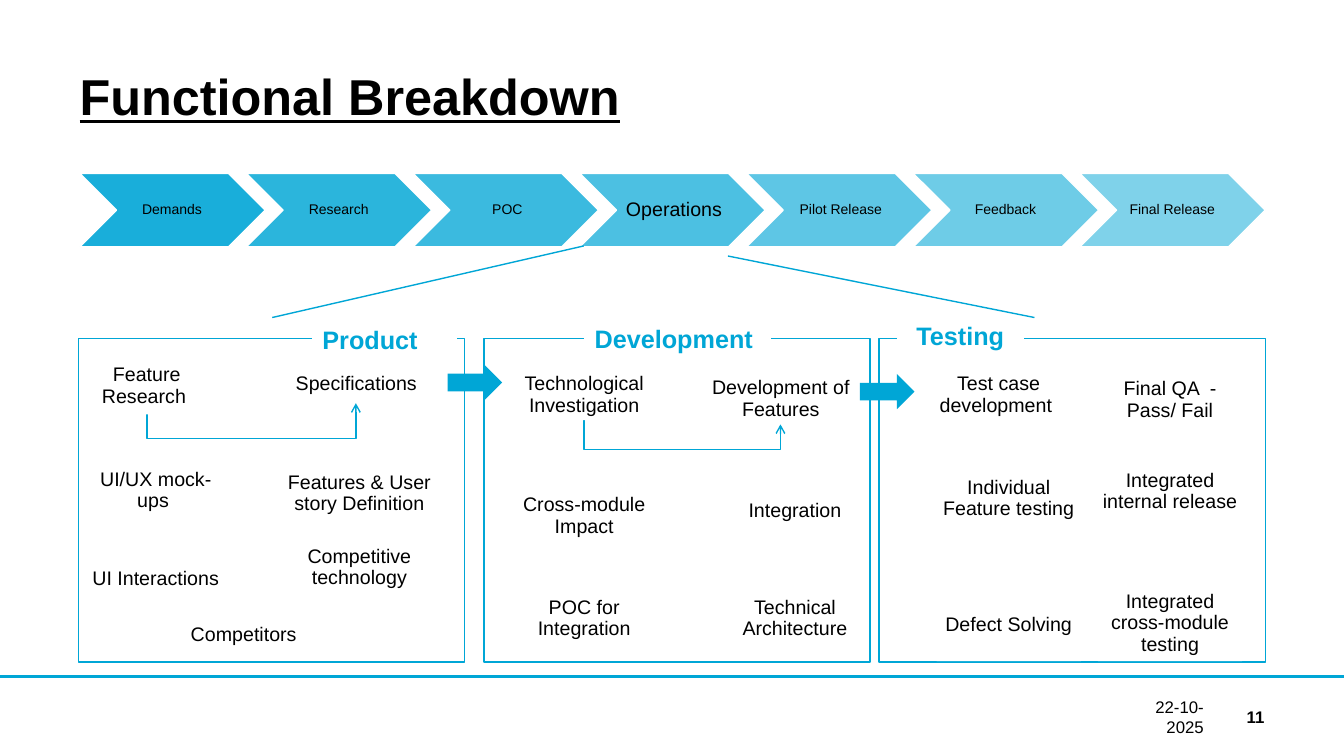
"""Build the Functional Breakdown slide: a process chain above three work panels."""
from dataclasses import dataclass

from lxml import etree
from pptx import Presentation
from pptx.dml.color import RGBColor
from pptx.enum.shapes import MSO_CONNECTOR as Conn, MSO_SHAPE as Shape
from pptx.enum.text import MSO_ANCHOR as Anchor, PP_ALIGN as Align
from pptx.oxml.ns import qn
from pptx.util import Inches, Pt


@dataclass(frozen=True)
class Theme:
    font: str = "Arial"
    cyan: RGBColor = RGBColor(0x00, 0xA6, 0xD6)
    black: RGBColor = RGBColor(0x00, 0x00, 0x00)
    white: RGBColor = RGBColor(0xFF, 0xFF, 0xFF)
    title: int = 36
    label: int = 18
    body: int = 14
    footer: int = 12
    step: int = 10


theme = Theme()
prs = Presentation()
prs.slide_width, prs.slide_height = Inches(13.33), Inches(7.5)
s = prs.slides.add_slide(prs.slide_layouts[6])


def write(sp, text, size, color=theme.black, bold=False, align=Align.CENTER,
          anchor=Anchor.TOP, insets=(0, 0, 0, 0), spacing=0.9, before=0, after=0):
    """Put one formatted paragraph into a shape and return its run."""
    tf = sp.text_frame
    tf.word_wrap = True
    tf.vertical_anchor = anchor
    tf.margin_left, tf.margin_top, tf.margin_right, tf.margin_bottom = map(Inches, insets)
    p = tf.paragraphs[0]
    p.text = text
    p.alignment, p.line_spacing = align, spacing
    p.space_before, p.space_after = Pt(before), Pt(after)
    r = p.runs[0]
    r.font.name, r.font.size, r.font.bold = theme.font, Pt(size), bold
    r.font.color.rgb = color
    return r


def draw(kind, box, fill=None, line=None, width=1):
    """Add a flat shape or connector; a connector's box holds its two end points."""
    if isinstance(kind, Conn):
        sp = s.shapes.add_connector(kind, *map(Inches, box))
        etree.SubElement(sp._element.spPr, qn("a:effectLst"))
    else:
        sp = s.shapes.add_shape(kind, *map(Inches, box))
        sp.shadow.inherit = False
        if fill is None:
            sp.fill.background()
        else:
            sp.fill.solid()
            sp.fill.fore_color.rgb = fill
    if line is None:
        sp.line.fill.background()
    else:
        sp.line.color.rgb = line
        sp.line.width = Pt(width)
    return sp


for x1, y1, x2, y2, bottom in [(5.79, 4.16, 7.74, 4.21, 4.46), (1.46, 4.1, 3.53, 4, 4.35)]:
    w, h = abs(y2 - y1), x2 - x1
    left, top = (x1 + x2 - w) / 2, (y1 + y2 - h) / 2
    link = draw(Conn.ELBOW, (left, top, left + w, top + h), line=theme.cyan)
    props = link._element.spPr
    xfrm = props.find(qn("a:xfrm"))
    xfrm.set("rot", str(270 * 60000))
    if y2 > y1:
        xfrm.set("flipH", "1")
    guides = props.find(qn("a:prstGeom")).get_or_add_avLst()
    bend = round((bottom - y1) / (y2 - y1) * 100000)
    etree.SubElement(guides, qn("a:gd"), name="adj1", fmla=f"val {bend}")
    etree.SubElement(props.find(qn("a:ln")), qn("a:tailEnd"), type="arrow")

steps = ["Demands ", "Research ", "POC", "Operations", "Pilot Release", "Feedback ", "Final Release "]
for i, step in enumerate(steps):
    sp = draw(Shape.CHEVRON, (0.79 + i * 9.92 / 6, 1.72, 1.84, 0.73), theme.cyan, theme.white)
    color = sp._element.spPr.find(qn("a:solidFill")).find(qn("a:srgbClr"))
    etree.SubElement(color, qn("a:alpha"), val=str(round(90000 - i * 40000 / 6)))
    size = theme.body if step == "Operations" else theme.step
    write(sp, step, size, anchor=Anchor.MIDDLE, insets=(0.04, 0.01, 0.01, 0.01), after=4)

title = s.shapes.add_textbox(*map(Inches, (0.79, 0.75, 11.76, 0.5)))
write(title, "Functional Breakdown", theme.title, bold=True, align=Align.LEFT,
      spacing=Pt(36)).font.underline = True

for text, left, width, bold in [("22-10-2025", 11.1, 0.84, False), ("11", 12.22, 0.32, True)]:
    sp = s.shapes.add_textbox(*map(Inches, (left, 7.01, width, 0.2)))
    write(sp, text, theme.footer, bold=bold, align=Align.RIGHT, anchor=Anchor.MIDDLE, spacing=1.0)

draw(Conn.STRAIGHT, (0, 6.71, 13.33, 6.71), line=theme.cyan, width=2.25)
draw(Conn.STRAIGHT, (5.79, 2.44, 2.7, 3.15), line=theme.cyan)
draw(Conn.STRAIGHT, (7.22, 2.54, 10.26, 3.15), line=theme.cyan)

for left in (0.78, 4.8, 8.72):
    draw(Shape.RECTANGLE, (left, 3.36, 3.83, 3.21), line=theme.cyan)

tasks = [
    ("Feature Research ", 0.88, 3.62, 1.15, 0.49),
    ("UI/UX mock-ups ", 0.97, 4.66, 1.15, 0.47),
    ("Specifications", 2.82, 3.71, 1.43, 0.28),
    ("Competitive technology", 2.85, 5.42, 1.43, 0.49),
    ("UI Interactions", 0.83, 5.64, 1.43, 0.25),
    ("Competitors ", 1.73, 6.2, 1.43, 0.25),
    ("Features & User story Definition", 2.85, 4.69, 1.43, 0.44),
    ("Technological Investigation", 5.08, 3.71, 1.43, 0.46),
    ("Cross-module Impact", 5.08, 4.91, 1.43, 0.46),
    ("POC for Integration", 5.08, 5.93, 1.43, 0.46),
    ("Technical Architecture", 7.17, 5.93, 1.43, 0.46),
    ("Integration", 7.17, 4.97, 1.43, 0.46),
    ("Development of Features", 7.03, 3.75, 1.43, 0.46),
    ("Test case development ", 9.19, 3.71, 1.43, 0.46),
    ("Individual Feature testing", 9.29, 4.74, 1.43, 0.46),
    ("Defect Solving", 9.29, 6.1, 1.43, 0.46),
    ("Integrated cross-module testing", 10.89, 5.87, 1.43, 0.69),
    ("Integrated internal release", 10.89, 4.67, 1.43, 0.69),
    ("Final QA  - Pass/ Fail", 10.89, 3.76, 1.43, 0.69),
]
for task, *box in tasks:
    write(draw(Shape.RECTANGLE, box, theme.white), task, theme.body, before=6, after=6)

for left, top in [(4.44, 3.62), (8.53, 3.71)]:
    draw(Shape.RIGHT_ARROW, (left, top, 0.54, 0.35), theme.cyan)

labels = [
    ("Product", 3.1, 3.2, 1.43, Align.JUSTIFY),
    ("Development", 5.8, 3.19, 1.84, Align.JUSTIFY),
    ("Testing", 8.9, 3.16, 1.25, Align.CENTER),
]
for label, left, top, width, align in labels:
    sp = draw(Shape.RECTANGLE, (left, top, width, 0.37), theme.white, theme.white, 0.75)
    write(sp, label, theme.label, theme.cyan, True, align,
          insets=(0.1, 0.05, 0.1, 0.05), before=6, after=6)

prs.save("out.pptx")
